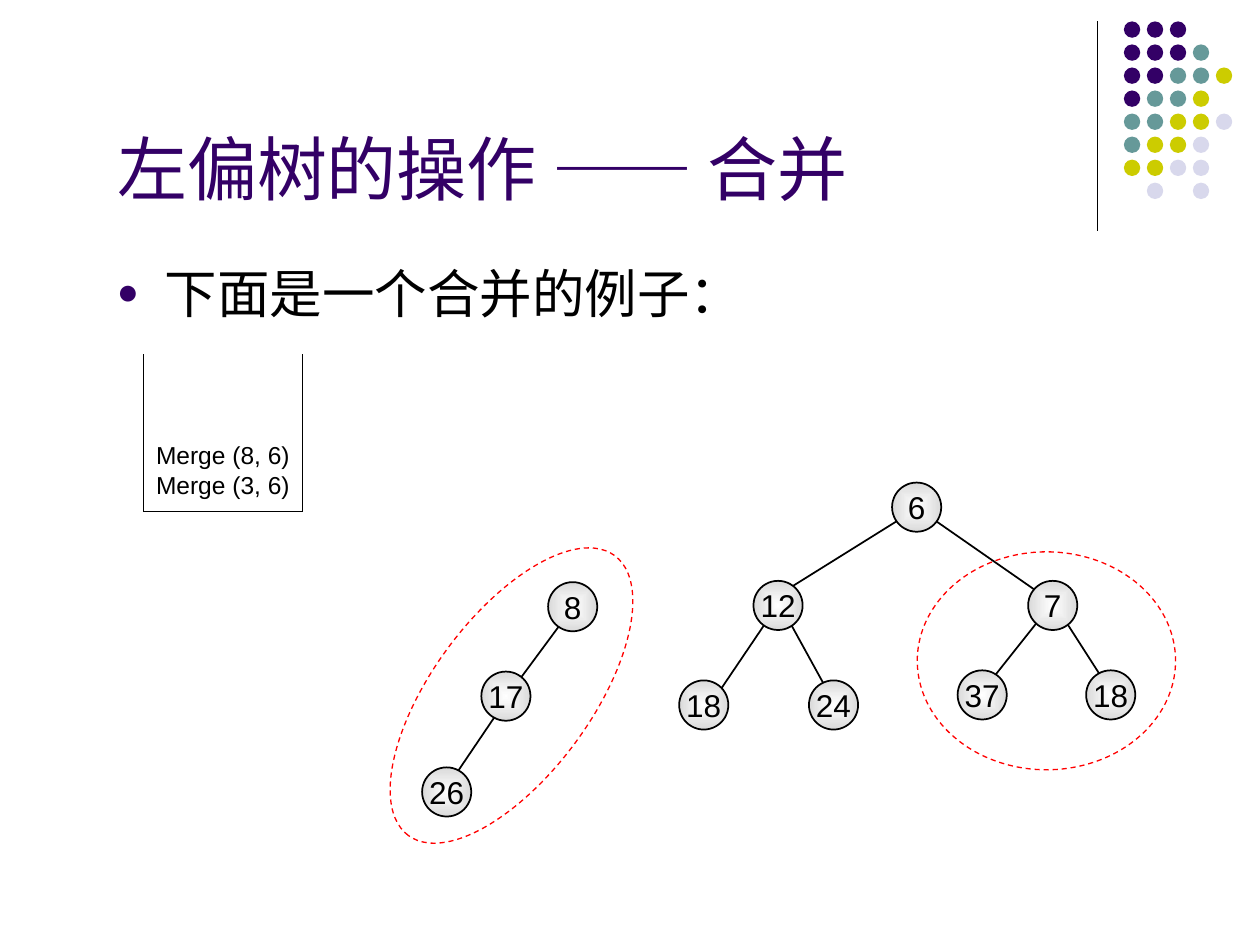
from lxml import etree
from pptx import Presentation
from pptx.dml.color import RGBColor
from pptx.enum.dml import MSO_LINE
from pptx.enum.shapes import MSO_CONNECTOR, MSO_SHAPE
from pptx.enum.text import MSO_ANCHOR, MSO_AUTO_SIZE, PP_ALIGN
from pptx.oxml import parse_xml
from pptx.oxml.ns import nsdecls, qn
from pptx.util import Inches, Pt

OVAL = MSO_SHAPE.OVAL
STRAIGHT = MSO_CONNECTOR.STRAIGHT
DASH = MSO_LINE.DASH
BOTTOM, MIDDLE, TOP = MSO_ANCHOR.BOTTOM, MSO_ANCHOR.MIDDLE, MSO_ANCHOR.TOP
LEFT, CENTER = PP_ALIGN.LEFT, PP_ALIGN.CENTER
FIXED = MSO_AUTO_SIZE.NONE

COLUMNS, ROWS = 100, 75
CELL = Inches(0.1)
LATIN, CHINESE = "Arial", "Noto Sans CJK SC"
BLACK, PURPLE, RED = "000000", "330066", "FF0000"
DOT_COLOURS = {"P": PURPLE, "T": "669999", "Y": "CCCC00", "L": "D8D8EC"}
DOT_ROWS = ["PPP", "PPPT", "PPTTY", "PTTY", "TTYYL", "TYYL", "YYLL", " L L"]
DOT_SIZE = 1.3
NODE_SIZE = 3.9

RIGHT_NODES = [("6", 16.9, 0), ("12", 5.9, 7.8), ("7", 27.7, 7.8),
               ("18", 0, 15.7), ("24", 10.3, 15.7),
               ("37", 22.1, 14.9), ("18", 32.3, 14.9)]
RIGHT_EDGES = [(18.5, 2.3, 8.4, 8.6), (19.3, 2.3, 29.5, 9.4),
               (7.5, 10.2, 2.7, 17.3), (8.3, 10.2, 12.2, 17.3),
               (29.2, 10.1, 24.2, 16.4), (29.9, 9.8, 34.2, 16.5)]
LEFT_NODES = [("8", 10, 0), ("17", 4.7, 7.1), ("26", 0, 14.7)]
LEFT_EDGES = [(11.9, 2.1, 6.8, 9), (6.5, 9.6, 1.7, 16.7)]


def colour(value):
    return RGBColor.from_string(value)


def cells(*counts):
    return [round(count * CELL) for count in counts]


def format_span(span, size, tint, latin=LATIN):
    span.font.size = Pt(size)
    span.font.name = latin
    span.font.color.rgb = colour(tint)
    east_asian = etree.SubElement(span._r.get_or_add_rPr(), qn("a:ea"))
    east_asian.set("typeface", CHINESE)


def add_line(shapes, ends, width):
    line = shapes.add_connector(STRAIGHT, *cells(*ends))
    line.line.color.rgb = colour(BLACK)
    line.line.width = Pt(width)
    etree.SubElement(line._element.spPr, qn("a:effectLst"))


def add_oval(shapes, box):
    oval = shapes.add_shape(OVAL, *cells(*box))
    oval.shadow.inherit = False
    return oval


def add_dots(shapes, left, top, width, height):
    column_step = (width - DOT_SIZE) / (max(map(len, DOT_ROWS)) - 1)
    row_step = (height - DOT_SIZE) / (len(DOT_ROWS) - 1)
    for row, letters in enumerate(DOT_ROWS):
        for column, letter in enumerate(letters):
            if letter in DOT_COLOURS:
                dot = add_oval(shapes, (left + column * column_step,
                                        top + row * row_step, DOT_SIZE, DOT_SIZE))
                dot.fill.solid()
                dot.fill.fore_color.rgb = colour(DOT_COLOURS[letter])
                dot.line.fill.background()


def place_title(title, box):
    title.left, title.top, title.width, title.height = cells(*box)
    frame = title.text_frame
    frame.auto_size = FIXED
    frame.vertical_anchor = BOTTOM
    para = frame.paragraphs[0]
    para.alignment = LEFT
    for words, latin in (("左偏树的操作 ", LATIN), ("—— ", CHINESE), ("合并", LATIN)):
        span = para.add_run()
        span.text = words
        format_span(span, 40, PURPLE, latin)


def add_body(shapes, box):
    frame = shapes.add_textbox(*cells(*box)).text_frame
    frame.word_wrap = True
    frame.vertical_anchor = TOP
    para = frame.paragraphs[0]
    para.text = "下面是一个合并的例子："
    properties = para._p.get_or_add_pPr()
    indent = Inches(0.38)
    properties.set("marL", str(indent))
    properties.set("indent", str(-indent))
    tint = etree.SubElement(properties, qn("a:buClr"))
    etree.SubElement(tint, qn("a:srgbClr")).set("val", PURPLE)
    etree.SubElement(properties, qn("a:buSzPct")).set("val", "70000")
    etree.SubElement(properties, qn("a:buFont")).set("typeface", LATIN)
    etree.SubElement(properties, qn("a:buChar")).set("char", "●")
    format_span(para.runs[0], 30, BLACK)


def shade_node(node):
    gradient = parse_xml(
        f'<a:gradFill {nsdecls("a")} rotWithShape="1"><a:gsLst>'
        '<a:gs pos="0"><a:srgbClr val="FFFFFF"/></a:gs>'
        '<a:gs pos="100000"><a:srgbClr val="DADADA"/></a:gs></a:gsLst>'
        '<a:path path="shape"><a:fillToRect l="50000" t="50000" r="50000" b="50000"/>'
        '</a:path></a:gradFill>')
    node._element.spPr.find(qn("a:prstGeom")).addnext(gradient)


def add_tree(shapes, left, top, nodes, edges):
    for x1, y1, x2, y2 in edges:
        add_line(shapes, (left + x1, top + y1, left + x2, top + y2), 1)
    for label, column, row in nodes:
        node = add_oval(shapes, (left + column, top + row, NODE_SIZE, NODE_SIZE))
        shade_node(node)
        node.line.color.rgb = colour(BLACK)
        node.line.width = Pt(1)
        frame = node.text_frame
        frame.word_wrap = False
        frame.vertical_anchor = MIDDLE
        para = frame.paragraphs[0]
        para.text = label
        para.alignment = CENTER
        format_span(para.runs[0], 18, BLACK)


def add_call_stack(shapes, left, top, width, height):
    right, bottom = left + width, top + height
    text_height = 5.7
    text_box = (left, bottom - 0.5 - text_height, width, text_height)
    frame = shapes.add_textbox(*cells(*text_box)).text_frame
    frame.word_wrap = False
    frame.vertical_anchor = BOTTOM
    frame.text = "Merge (8, 6)\nMerge (3, 6)"
    for para in frame.paragraphs:
        format_span(para.runs[0], 14, BLACK)
    for ends in ((left, top, left, bottom), (left, bottom, right, bottom),
                 (right, bottom, right, top)):
        add_line(shapes, ends, 0.75)


def add_highlight(shapes, box, rotation=0):
    ring = add_oval(shapes, box)
    ring.fill.background()
    ring.line.color.rgb = colour(RED)
    ring.line.width = Pt(0.75)
    ring.line.dash_style = DASH
    ring.rotation = rotation


def main():
    deck = Presentation()
    deck.slide_width, deck.slide_height = cells(COLUMNS, ROWS)
    page = deck.slides.add_slide(deck.slide_layouts[5])
    shapes = page.shapes
    add_line(shapes, (87.1, 1.7, 87.1, 18.3), 0.75)
    add_dots(shapes.add_group_shape().shapes, 89.2, 1.7, 8.6, 14.1)
    place_title(shapes.title, (8.3, 8.4, 85.1, 8.7))
    add_body(shapes, (8.3, 20.2, 84.3, 48.8))
    add_tree(shapes.add_group_shape().shapes, 53.9, 38.3, RIGHT_NODES, RIGHT_EDGES)
    add_tree(shapes.add_group_shape().shapes, 33.5, 46.2, LEFT_NODES, LEFT_EDGES)
    add_call_stack(shapes.add_group_shape().shapes, 11.4, 28.1, 12.6, 12.5)
    add_highlight(shapes, (26.8, 48.9, 27.6, 12.6), 306.4)
    add_highlight(shapes, (72.8, 43.8, 20.5, 17.3))
    deck.save("out.pptx")


if __name__ == "__main__":
    main()
